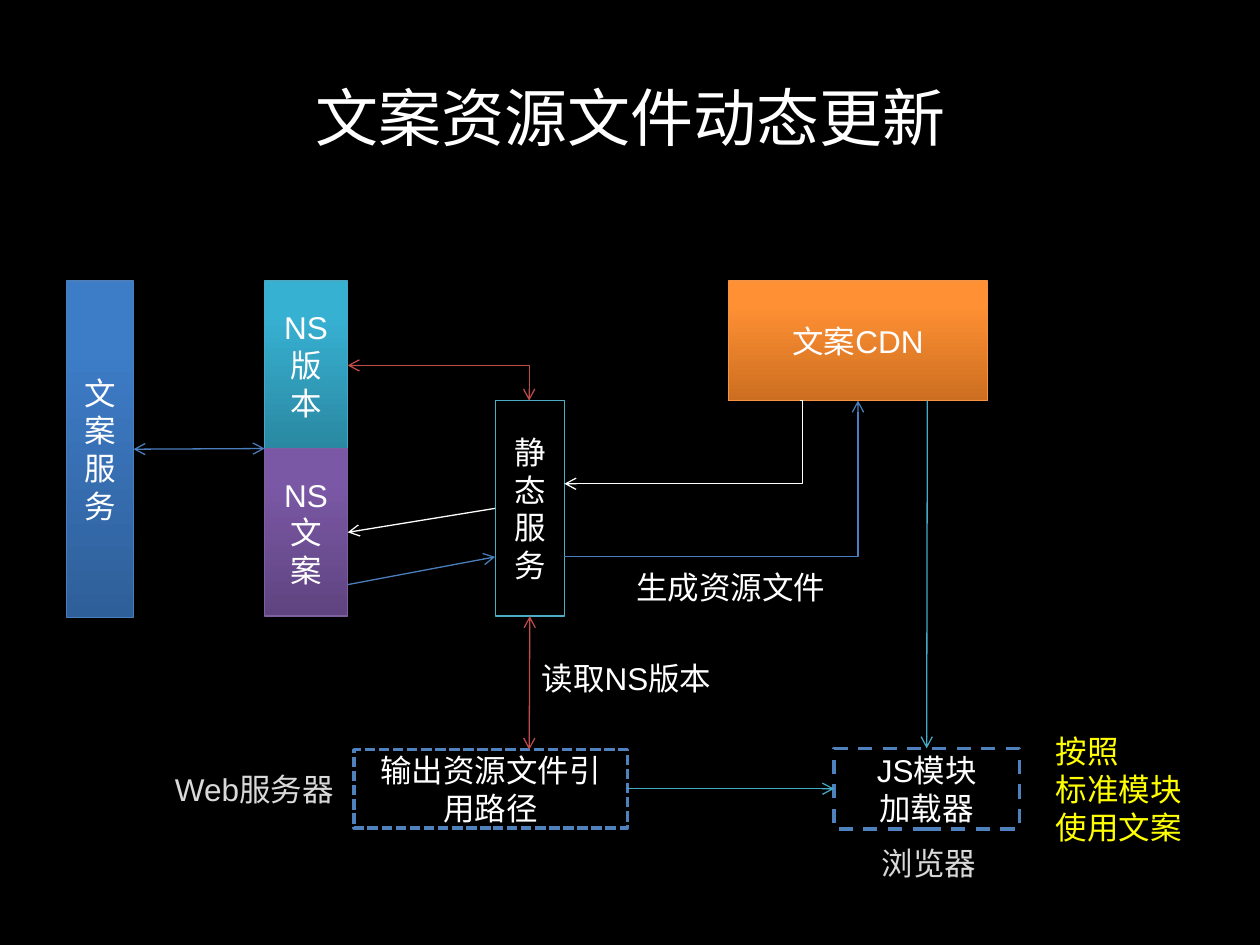
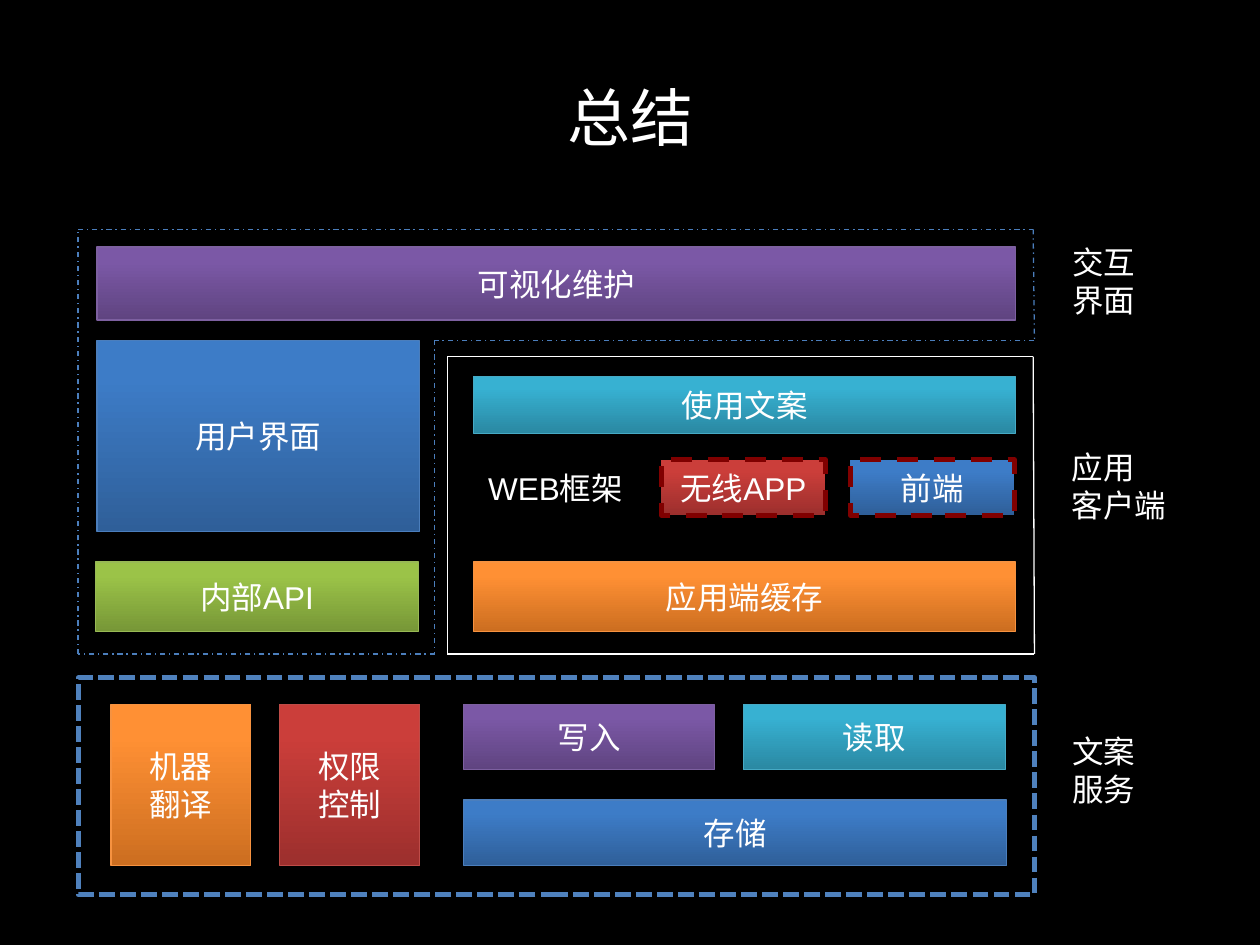
"""Build two slides on updating and organising copy resources."""
from dataclasses import dataclass, field
from typing import Optional

from lxml import etree
from pptx import Presentation, util as u
from pptx.dml.color import RGBColor
from pptx.enum import dml, shapes, text
from pptx.oxml.ns import qn
from pptx.util import Inches

Point = tuple[float, float]
Dash = dml.MSO_LINE
TOP, LEFT, BOTTOM, RIGHT = range(4)


@dataclass(frozen=True)
class Tone:
    """A box colouring: gradient from bottom to top, and its edge."""
    bottom: str
    top: str
    edge: str


@dataclass(frozen=True)
class Theme:
    """Colours, fonts and sizes shared by the slides."""
    black: str = "000000"
    white: str = "FFFFFF"
    grey: str = "D9D9D9"
    yellow: str = "FFFF00"
    maroon: str = "800000"
    frame: str = "4F81BD"
    cyan_edge: str = "4BACC6"
    blue: Tone = Tone("2F5F99", "3D7CC7", "4B7EBC")
    cyan: Tone = Tone("2A88A2", "37B1D2", "46AAC5")
    purple: Tone = Tone("5F4480", "7B58A6", "7D60A0")
    orange: Tone = Tone("CC6E20", "FF9034", "F69240")
    red: Tone = Tone("9C2F2D", "CB3E3A", "BF4C48")
    green: Tone = Tone("779737", "9BC348", "98B955")
    title_font: str = "Montserrat"
    body_font: str = "Arial"
    title_size: int = 36
    body_size: int = 18
    thin: float = 0.75
    medium: float = 2
    thick: float = 3


THEME = Theme()


@dataclass(frozen=True)
class Box:
    """A rectangle with centred text; without a tone it has no fill."""
    words: str
    left: float
    top: float
    width: float
    height: float
    tone: Optional[Tone] = None
    fill: Optional[str] = None
    edge: Optional[str] = None
    weight: float = THEME.thin
    dash: Optional[Dash] = None


@dataclass(frozen=True)
class Label:
    """Free text at a place."""
    words: str
    left: float
    top: float
    width: float
    height: float
    color: str = THEME.white


@dataclass(frozen=True)
class Link:
    """A line or arrow, optionally joined to named boxes."""
    start: Point
    end: Point
    color: str
    head: bool = False
    tail: bool = True
    begin_at: Optional[tuple[str, int]] = None
    end_at: Optional[tuple[str, int]] = None
    bend: Optional[str] = None
    adjust: Optional[int] = None
    dash: Optional[Dash] = None


@dataclass(frozen=True)
class Page:
    """Everything drawn on one slide."""
    title: str
    boxes: list[Box]
    links: list[Link]
    labels: list[Label] = field(default_factory=list)


def outline(points: list[Point], color: str, dash: Optional[Dash] = None) -> list[Link]:
    """Return the lines that close a polygon."""
    return [Link(start, end, color, tail=False, dash=dash)
            for start, end in zip(points, points[1:] + points[:1])]


def write(frame, words: str, color: str, font: str, size: int, align) -> None:
    """Fill a text frame, one paragraph for each line."""
    frame.word_wrap = True
    frame.text = words
    for para in frame.paragraphs:
        para.alignment = align
        para.font.name = font
        para.font.size = u.Pt(size)
        para.font.color.rgb = RGBColor.from_string(color)


def style_line(line, color: str, weight: float, dash: Optional[Dash]) -> None:
    """Set colour, width and dash of a line."""
    line.color.rgb = RGBColor.from_string(color)
    line.width = u.Pt(weight)
    if dash:
        line.dash_style = dash


def draw_box(slide, box: Box):
    """Draw a box and return its shape."""
    shape = slide.shapes.add_shape(
        shapes.MSO_SHAPE.RECTANGLE,
        *map(Inches, (box.left, box.top, box.width, box.height)))
    shape.shadow.inherit = False
    if box.tone:
        shape.fill.gradient()
        shape.fill.gradient_angle = 90
        colors = (box.tone.bottom, box.tone.top)
        for stop, color, position in zip(shape.fill.gradient_stops, colors, (0, 0.8)):
            stop.color.rgb = RGBColor.from_string(color)
            stop.position = position
    elif box.fill:
        shape.fill.solid()
        shape.fill.fore_color.rgb = RGBColor.from_string(box.fill)
    else:
        shape.fill.background()
    style_line(shape.line, box.edge or box.tone.edge, box.weight, box.dash)
    if box.words:
        shape.text_frame.vertical_anchor = text.MSO_ANCHOR.MIDDLE
        write(shape.text_frame, box.words, THEME.white, THEME.body_font,
              THEME.body_size, text.PP_ALIGN.CENTER)
    return shape


def draw_link(slide, link: Link, drawn: dict) -> None:
    """Draw a straight or bent connector."""
    kind = shapes.MSO_CONNECTOR.ELBOW if link.bend else shapes.MSO_CONNECTOR.STRAIGHT
    connector = slide.shapes.add_connector(kind, *map(Inches, link.start + link.end))
    if link.begin_at:
        name, side = link.begin_at
        connector.begin_connect(drawn[name], side)
    if link.end_at:
        name, side = link.end_at
        connector.end_connect(drawn[name], side)
    style_line(connector.line, link.color, THEME.thin, link.dash)
    properties = connector._element.spPr
    line = properties.find(qn("a:ln"))
    for tag, wanted in (("a:headEnd", link.head), ("a:tailEnd", link.tail)):
        if wanted:
            etree.SubElement(line, qn(tag), type="arrow")
    etree.SubElement(properties, qn("a:effectLst"))
    if link.bend:
        geometry = properties.find(qn("a:prstGeom"))
        geometry.set("prst", link.bend)
        if link.adjust is not None:
            guides = geometry.find(qn("a:avLst"))
            etree.SubElement(guides, qn("a:gd"), name="adj1", fmla=f"val {link.adjust}")


def draw_label(slide, label: Label) -> None:
    """Draw a left-aligned text box."""
    box = slide.shapes.add_textbox(
        *map(Inches, (label.left, label.top, label.width, label.height)))
    write(box.text_frame, label.words, label.color, THEME.body_font,
          THEME.body_size, text.PP_ALIGN.LEFT)


def draw_page(deck, page: Page) -> None:
    """Add a slide with its title, boxes, links and labels."""
    slide = deck.slides.add_slide(deck.slide_layouts[5])
    title = slide.shapes.title
    title.left, title.top, title.width, title.height = map(Inches, (0.5, 0.3, 9, 1.25))
    title.text_frame.vertical_anchor = text.MSO_ANCHOR.MIDDLE
    write(title.text_frame, page.title, THEME.white, THEME.title_font,
          THEME.title_size, text.PP_ALIGN.CENTER)
    drawn = {box.words: draw_box(slide, box) for box in page.boxes}
    for link in page.links:
        draw_link(slide, link, drawn)
    for label in page.labels:
        draw_label(slide, label)


def update_page() -> Page:
    """Describe how copy resources are refreshed."""
    service, version, copy_set, static = "文案服务", "NS版本", "NS文案", "静态服务"
    cdn, output, loader = "文案CDN", "输出资源文件引用路径", "JS模块\n加载器"
    blue, cyan, red = THEME.blue.edge, THEME.cyan.edge, THEME.red.edge
    return Page(
        "文案资源文件动态更新",
        [
            Box(service, 0.53, 2.23, 0.53, 2.67, THEME.blue),
            Box(version, 2.1, 2.23, 0.66, 1.33, THEME.cyan),
            Box(copy_set, 2.1, 3.56, 0.66, 1.33, THEME.purple),
            Box(static, 3.93, 3.18, 0.55, 1.71, fill=THEME.black, edge=THEME.cyan_edge),
            Box(cdn, 5.78, 2.23, 2.06, 0.95, THEME.orange),
            Box(output, 2.81, 5.95, 2.17, 0.62, edge=THEME.frame,
                weight=THEME.medium, dash=Dash.SQUARE_DOT),
            Box(loader, 6.62, 5.94, 1.47, 0.64, edge=THEME.frame,
                weight=THEME.medium, dash=Dash.DASH),
        ],
        [
            Link((1.06, 3.56), (2.1, 3.56), blue, head=True, begin_at=(service, RIGHT)),
            Link((3.93, 4.04), (2.76, 4.23), THEME.white,
                 begin_at=(static, LEFT), end_at=(copy_set, RIGHT)),
            Link((2.76, 4.64), (3.93, 4.42), blue),
            Link((4.48, 4.42), (6.81, 3.18), blue, bend="bentConnector2"),
            Link((6.35, 3.18), (4.48, 3.84), THEME.white,
                 bend="bentConnector3", adjust=-1000),
            Link((2.76, 2.9), (4.2, 3.18), red, head=True, bend="bentConnector2"),
            Link((4.2, 4.89), (4.2, 5.95), red, head=True, begin_at=(static, BOTTOM)),
            Link((4.98, 6.26), (6.62, 6.26), cyan,
                 begin_at=(output, RIGHT), end_at=(loader, LEFT)),
            Link((7.36, 3.18), (7.36, 5.94), cyan, end_at=(loader, TOP)),
        ],
        [
            Label("生成资源文件", 4.95, 4.46, 1.72, 0.4),
            Label("读取NS版本", 4.2, 5.18, 1.56, 0.4),
            Label("按照\n标准模块\n使用文案", 8.28, 5.76, 1.21, 1.01, THEME.yellow),
            Label("Web服务器", 1.29, 6.06, 1.48, 0.4, THEME.grey),
            Label("浏览器", 6.9, 6.65, 0.96, 0.4, THEME.grey),
        ],
    )


def summary_page() -> Page:
    """Describe the layers of the whole system."""
    clients = [Box(words, 5.25 + 1.5 * i, 3.65, 1.3, 0.44, tone, edge=THEME.maroon,
                   weight=THEME.thick, dash=Dash.DASH)
               for i, (words, tone) in enumerate(
                   (("无线APP", THEME.red), ("前端", THEME.blue)))]
    interface = [(0.62, 5.19), (0.62, 1.82), (8.2, 1.82),
                 (8.21, 2.7), (3.45, 2.7), (3.45, 5.19)]
    client = [(3.55, 5.19), (3.55, 2.83), (8.2, 2.83), (8.21, 5.19)]
    return Page(
        "总结",
        [
            Box("存储", 3.68, 6.35, 4.31, 0.52, THEME.blue),
            Box("写入", 3.68, 5.59, 1.99, 0.52, THEME.purple),
            Box("读取", 5.9, 5.59, 2.08, 0.52, THEME.cyan),
            Box("", 0.62, 5.38, 7.59, 1.72, edge=THEME.frame,
                weight=THEME.thick, dash=Dash.SQUARE_DOT),
            Box("用户界面", 0.77, 2.7, 2.56, 1.52, THEME.blue),
            Box("可视化维护", 0.77, 1.96, 7.29, 0.58, THEME.purple),
            Box("使用文案", 3.76, 2.99, 4.3, 0.45, THEME.cyan),
            Box("应用端缓存", 3.76, 4.46, 4.3, 0.55, THEME.orange),
            Box("WEB框架", 3.76, 3.65, 1.3, 0.45, fill=THEME.black, edge=THEME.black),
            *clients,
            Box("内部API", 0.76, 4.46, 2.56, 0.55, THEME.green),
            Box("机器\n翻译", 0.88, 5.59, 1.11, 1.28, THEME.orange),
            Box("权限\n控制", 2.22, 5.59, 1.11, 1.28, THEME.red),
        ],
        outline(interface, THEME.blue.edge, Dash.DASH_DOT) + outline(client, THEME.white),
        [
            Label("交互\n界面", 8.41, 1.88, 0.71, 0.71),
            Label("应用\n客户端", 8.41, 3.51, 0.96, 0.71),
            Label("文案\n服务", 8.41, 5.76, 0.71, 0.71),
        ],
    )


def main() -> None:
    """Build and save the deck."""
    deck = Presentation()
    deck.slide_width, deck.slide_height = Inches(10), Inches(7.5)
    background = deck.slide_master.background.fill
    background.solid()
    background.fore_color.rgb = RGBColor.from_string(THEME.black)
    for page in (update_page(), summary_page()):
        draw_page(deck, page)
    deck.save("out.pptx")


if __name__ == "__main__":
    main()
